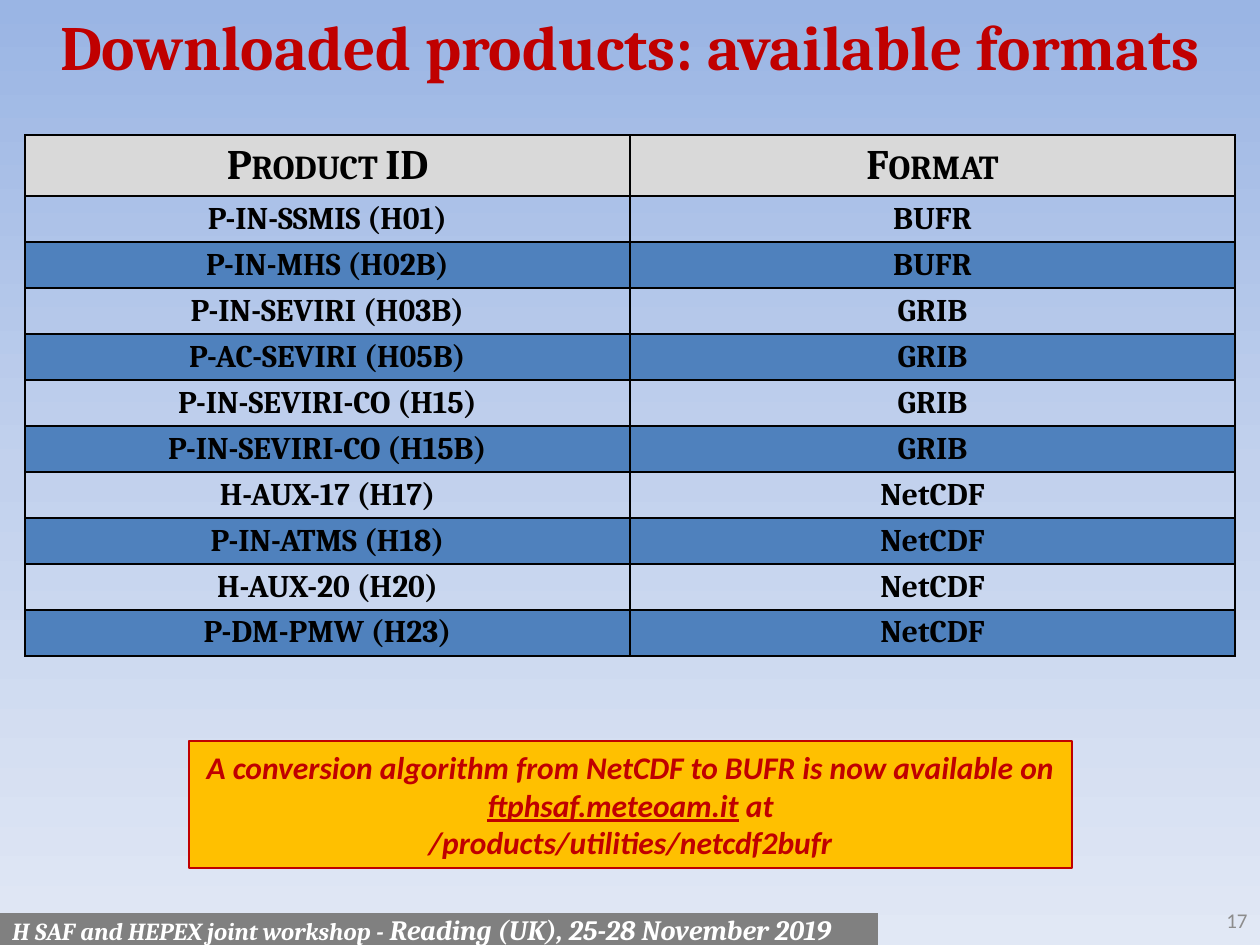
from copy import deepcopy

from lxml import etree
from pptx import Presentation
from pptx import util as u
from pptx.dml.color import RGBColor
from pptx.enum import shapes, text
from pptx.oxml.ns import qn

PX_PER_INCH = 126
RED, BLACK, WHITE = "C00000", "000000", "FFFFFF"
CENTER, LEFT, RIGHT = text.PP_ALIGN.CENTER, text.PP_ALIGN.LEFT, text.PP_ALIGN.RIGHT

PRODUCTS = [
    ("P-IN-SSMIS (H01)", "BUFR"),
    ("P-IN-MHS (H02B)", "BUFR"),
    ("P-IN-SEVIRI (H03B)", "GRIB"),
    ("P-AC-SEVIRI (H05B)", "GRIB"),
    ("P-IN-SEVIRI-CO (H15)", "GRIB"),
    ("P-IN-SEVIRI-CO (H15B)", "GRIB"),
    ("H-AUX-17 (H17)", "NetCDF"),
    ("P-IN-ATMS (H18)", "NetCDF"),
    ("H-AUX-20 (H20)", "NetCDF"),
    ("P-DM-PMW (H23)", "NetCDF"),
]


def px(length):
    return u.Emu(round(length * 914400 / PX_PER_INCH))


def rgb(value):
    return RGBColor.from_string(value)


def add_run(paragraph, words, size=18, font="Cambria", color=BLACK, bold=True,
            italic=False, underline=None, small_caps=False):
    run = paragraph.add_run()
    run.text = words
    style = run.font
    style.size, style.name, style.bold, style.italic = u.Pt(size), font, bold, italic
    style.underline = underline
    style.color.rgb = rgb(color)
    if small_caps:
        run.font._element.set("cap", "small")


def write(frame, lines, align=CENTER, **style):
    """Each line is a list of (words, format changes) pairs."""
    for index, line in enumerate(lines):
        paragraph = frame.add_paragraph() if index else frame.paragraphs[0]
        paragraph.alignment = align
        for words, changes in line:
            add_run(paragraph, words, **{**style, **changes})


class SlideBuilder:
    def __init__(self, deck):
        self.slide = deck.slides.add_slide(deck.slide_layouts[5])

    def background(self, top, middle, bottom):
        fill = self.slide.background.fill
        fill.gradient()
        fill.gradient_angle = 270
        stop_list = self.slide.element.find(".//" + qn("a:gsLst"))
        stop_list.insert(1, deepcopy(stop_list[0]))
        for stop, color, position in zip(fill.gradient_stops, (top, middle, bottom), (0, 0.5, 1)):
            stop.color.rgb = rgb(color)
            stop.position = position

    def title(self, words, x, y, w, h, **style):
        title = self.slide.shapes.title
        title.left, title.top, title.width, title.height = map(px, (x, y, w, h))
        frame = title.text_frame
        frame.auto_size = text.MSO_AUTO_SIZE.NONE
        frame.vertical_anchor = text.MSO_ANCHOR.MIDDLE
        write(frame, [[(words, {})]], **style)

    def box(self, lines, x, y, w, h, fill, line=None, wrap=True, inset=6, **style):
        box = self.slide.shapes.add_shape(shapes.MSO_SHAPE.RECTANGLE, *map(px, (x, y, w, h)))
        box.shadow.inherit = False
        box.fill.solid()
        box.fill.fore_color.rgb = rgb(fill)
        if line:
            box.line.color.rgb = rgb(line)
            box.line.width = u.Pt(0.75)
        else:
            box.line.fill.background()
        frame = box.text_frame
        frame.word_wrap = wrap
        frame.margin_top = frame.margin_bottom = px(inset)
        frame.vertical_anchor = text.MSO_ANCHOR.MIDDLE
        write(frame, lines, **style)

    def label(self, words, x, y, w, h, **style):
        frame = self.slide.shapes.add_textbox(*map(px, (x, y, w, h))).text_frame
        frame.word_wrap = True
        frame.vertical_anchor = text.MSO_ANCHOR.MIDDLE
        write(frame, [[(words, {})]], **style)

    def table(self, header, rows, x, y, w, header_h, row_h):
        heights = [header_h] + [row_h] * len(rows)
        table = self.slide.shapes.add_table(
            len(heights), len(header), *map(px, (x, y, w, sum(heights)))).table
        table.horz_banding = table.first_row = False
        for column in table.columns:
            column.width = px(w / len(header))
        for index, values in enumerate([header, *rows]):
            table.rows[index].height = px(heights[index])
            for column, words in enumerate(values):
                if index == 0:
                    self.cell(table.cell(index, column), words, "D9D9D9", size=24, small_caps=True)
                else:
                    fill = None if index % 2 else "4F81BD"
                    self.cell(table.cell(index, column), words, fill)

    def cell(self, cell, words, fill, **style):
        cell.vertical_anchor = text.MSO_ANCHOR.MIDDLE
        cell.margin_left = cell.margin_right = px(9)
        cell.margin_top = cell.margin_bottom = px(4)
        if fill:
            cell.fill.solid()
            cell.fill.fore_color.rgb = rgb(fill)
        else:
            cell.fill.background()
        write(cell.text_frame, [[(words, {})]], **style)
        # Borders come before the fill in the cell properties
        properties = cell._tc.get_or_add_tcPr()
        for position, side in enumerate("LRTB"):
            border = etree.Element(qn("a:ln" + side), w=str(u.Pt(1)))
            solid = etree.SubElement(border, qn("a:solidFill"))
            etree.SubElement(solid, qn("a:srgbClr"), val=BLACK)
            properties.insert(position, border)


def main():
    deck = Presentation()
    deck.slide_width, deck.slide_height = u.Inches(10), u.Inches(7.5)
    page = SlideBuilder(deck)
    page.background("9AB5E4", "C2D1ED", "E1E8F5")

    # Title and table of formats
    page.title("Downloaded products: available formats", 0, 0, 1260, 90, size=36, color=RED)
    page.table(("Product ID", "Format"), PRODUCTS, 25, 135, 1210, header_h=61, row_h=46)

    # Note on the conversion algorithm
    conversion_note = [
        [("A conversion algorithm from NetCDF to BUFR is now available on", {})],
        [("ftphsaf.meteoam.it", {"underline": True}), (" at", {})],
        [("/products/utilities/netcdf2bufr", {})],
    ]
    page.box(conversion_note, 189, 741, 883, 127, "FFC000", line=RED, wrap=False,
             font="Calibri", color=RED, italic=True)

    # Footer and page number
    event = [[("H SAF and HEPEX joint workshop - ", {"size": 14}),
              ("Reading (UK), 25-28 November 2019", {"size": 16})]]
    page.box(event, 0, 913, 878, 32, "808080", inset=0, align=LEFT, color=WHITE, italic=True)
    page.label("17", 966, 895, 294, 50, align=RIGHT, size=12, font="Calibri",
               color="8C8C8C", bold=False)

    deck.save("out.pptx")


if __name__ == "__main__":
    main()
